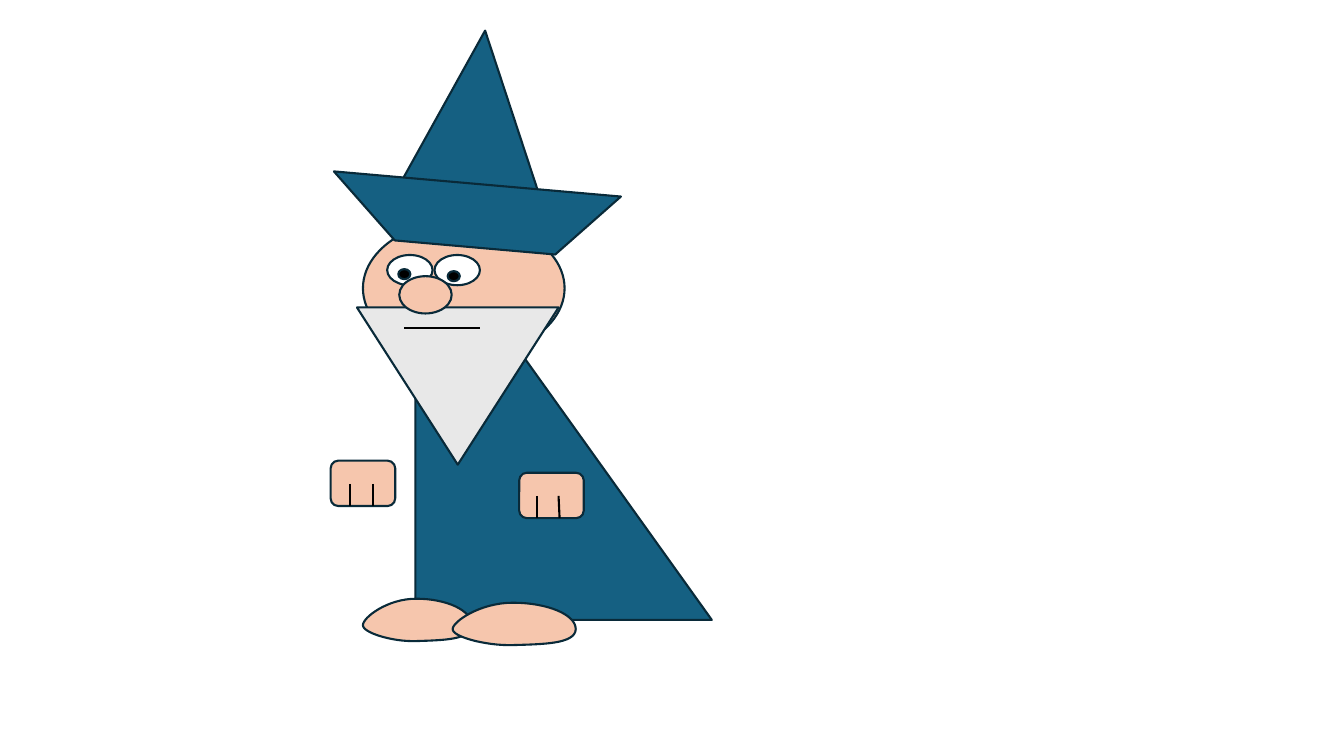
from lxml import etree
from pptx import Presentation
from pptx.dml.color import RGBColor
from pptx.enum import shapes
from pptx.oxml import ns
from pptx.util import Inches, Pt

COLORS = {
    "robe": "156082",
    "skin": "F6C6AD",
    "beard": "E8E8E8",
    "white": "FFFFFF",
    "black": "000000",
    "outline": "092A39",
}
KIND = shapes.MSO_SHAPE
LINE_WIDTH = Pt(1.5)
CURVE_STEPS = 16

# Foot outline in fractions of its width and height: start, then Bézier curves.
FOOT_START = (0, 0.62)
FOOT_CURVES = [
    ((0, 0.45), (0.22, 0), (0.49, 0)),
    ((0.77, 0), (1, 0.28), (1, 0.62)),
    ((1, 0.98), (0.72, 0.98), (0.49, 1)),
    ((0.26, 1.02), (-0.01, 0.79), FOOT_START),
]


def color(name):
    return RGBColor.from_string(COLORS[name])


def paint(shape, fill):
    shape.shadow.inherit = False
    shape.fill.solid()
    shape.fill.fore_color.rgb = color(fill)
    shape.line.color.rgb = color("outline")
    shape.line.width = LINE_WIDTH


def add_part(slide, kind, left, top, width, height, fill, rotation=0):
    shape = slide.shapes.add_shape(
        kind, Inches(left), Inches(top), Inches(width), Inches(height))
    shape.rotation = rotation
    paint(shape, fill)
    return shape


def add_stroke(slide, x1, y1, x2, y2):
    stroke = slide.shapes.add_connector(
        shapes.MSO_CONNECTOR.STRAIGHT,
        Inches(x1), Inches(y1), Inches(x2), Inches(y2))
    stroke.line.color.rgb = color("black")
    stroke.line.width = LINE_WIDTH
    etree.SubElement(stroke._element.spPr, ns.qn("a:effectLst"))


def add_hand(slide, left, top, fingers):
    """Draw a fist; fingers are (top x, bottom x) offsets from its left edge."""
    add_part(slide, KIND.ROUNDED_RECTANGLE, left, top, 0.64, 0.45, "skin")
    for upper, lower in fingers:
        add_stroke(slide, left + upper, top + 0.23, left + lower, top + 0.45)


def curve_points(start, control1, control2, end):
    """Sample a cubic Bézier curve, leaving out its start."""
    for step in range(1, CURVE_STEPS + 1):
        t = step / CURVE_STEPS
        weights = ((1 - t) ** 3, 3 * t * (1 - t) ** 2, 3 * t * t * (1 - t), t ** 3)
        points = (start, control1, control2, end)
        yield tuple(sum(w * p[axis] for w, p in zip(weights, points))
                    for axis in (0, 1))


def add_foot(slide, left, top, width, height=0.42):
    outline = [FOOT_START]
    for curve in FOOT_CURVES:
        outline.extend(curve_points(outline[-1], *curve))
    points = [(Inches(left + x * width), Inches(top + y * height))
              for x, y in outline]
    builder = slide.shapes.build_freeform(*points[0])
    builder.add_line_segments(points[1:], close=True)
    paint(builder.convert_to_shape(), "skin")


def add_hat(slide):
    add_part(slide, KIND.ISOSCELES_TRIANGLE, 3.92, 0.3, 1.61, 1.84, "robe", 5.4)
    brim = add_part(
        slide, KIND.DIAGONAL_STRIPE, 3.7, 0.84, 2.07, 1.97, "robe", 228.6)
    brim.adjustments[0] = 0.559


def add_face(slide):
    for left in (3.84, 4.31):
        add_part(slide, KIND.OVAL, left, 2.53, 0.45, 0.3, "white")
    for left, top in ((3.95, 2.67), (4.44, 2.69)):
        add_part(slide, KIND.OVAL, left, top, 0.12, 0.1, "black")
    add_part(slide, KIND.ISOSCELES_TRIANGLE, 3.54, 3.05, 2, 1.56, "beard", 180)
    add_part(slide, KIND.OVAL, 3.96, 2.74, 0.52, 0.37, "skin")
    add_stroke(slide, 4.01, 3.25, 4.76, 3.25)


def main():
    presentation = Presentation()
    presentation.slide_width = Inches(13.33)
    presentation.slide_height = Inches(7.5)
    slide = presentation.slides.add_slide(presentation.slide_layouts[6])

    add_part(slide, KIND.RIGHT_TRIANGLE, 4.12, 2.04, 2.94, 4.11, "robe")
    add_part(slide, KIND.OVAL, 3.6, 2.18, 2, 1.36, "skin")
    add_hat(slide)
    add_face(slide)
    add_hand(slide, 5.15, 4.69, [(0.39, 0.4), (0.18, 0.18)])
    add_hand(slide, 3.28, 4.57, [(0.19, 0.19), (0.42, 0.42)])
    add_foot(slide, 3.6, 5.94, 1.08)
    add_foot(slide, 4.49, 5.98, 1.22)

    presentation.save("out.pptx")


if __name__ == "__main__":
    main()
